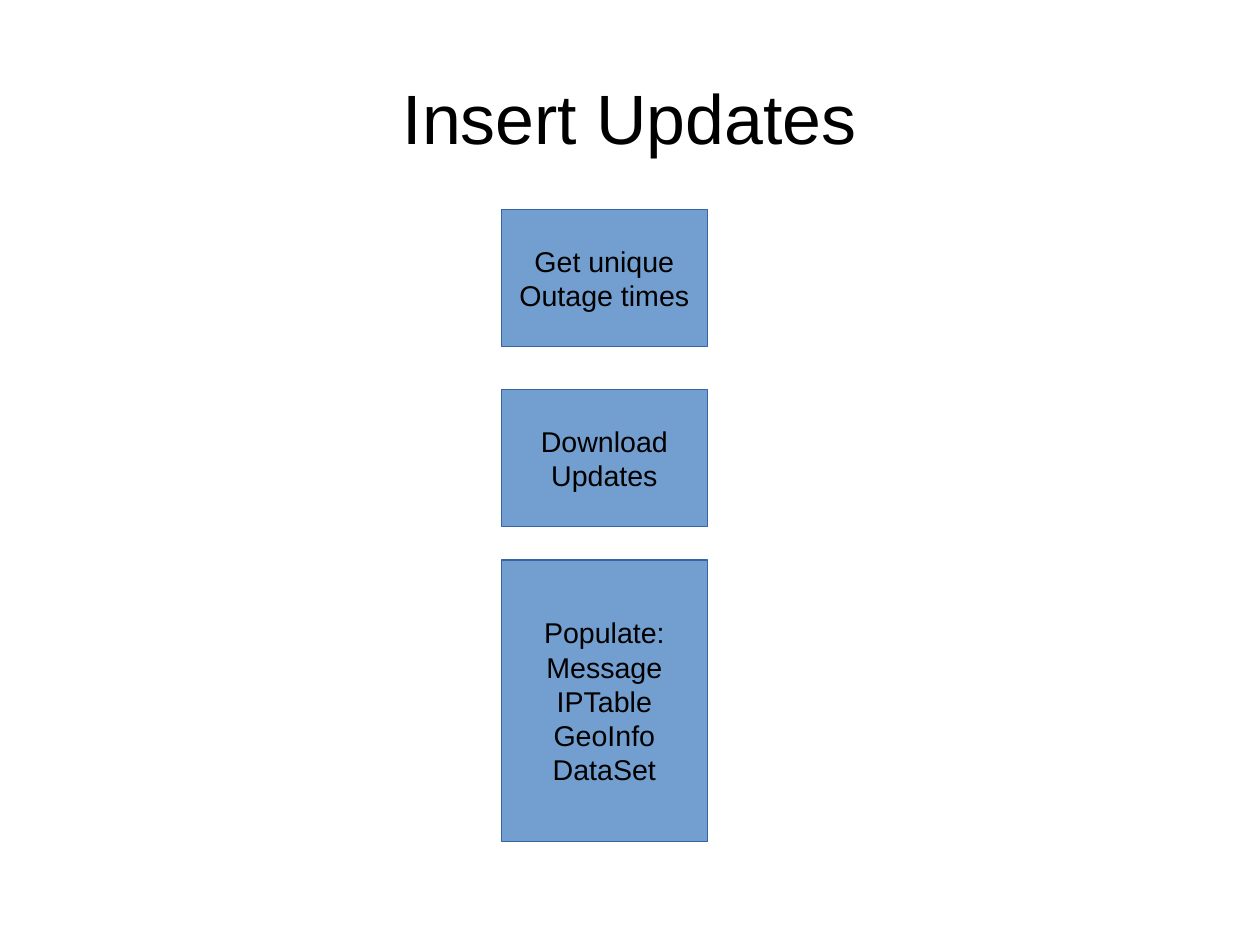
import dataclasses

import pptx
import pptx.dml.color
import pptx.enum.shapes
import pptx.enum.text
import pptx.util


@dataclasses.dataclass(frozen=True)
class Theme:
    font: str = "Arial"
    ink: str = "000000"
    fill: str = "729FCF"
    outline: str = "3465A4"
    title_size: int = 44
    step_size: int = 18


THEME = Theme()
PX = 3175
STEP_LEFT, STEP_WIDTH = 1264, 518


def color(value):
    return pptx.dml.color.RGBColor.from_string(value)


def write_text(frame, text, *, size, margins, wrap):
    frame.word_wrap = wrap
    frame.vertical_anchor = pptx.enum.text.MSO_ANCHOR.MIDDLE
    frame.margin_left = frame.margin_right = margins[0] * PX
    frame.margin_top = frame.margin_bottom = margins[1] * PX
    frame.text = text
    for para in frame.paragraphs:
        para.alignment = pptx.enum.text.PP_ALIGN.CENTER
        for span in para.runs:
            span.font.name = THEME.font
            span.font.size = pptx.util.Pt(size)
            span.font.color.rgb = color(THEME.ink)


deck = pptx.Presentation()
deck.slide_width, deck.slide_height = 3175 * PX, 2381 * PX
page = deck.slides.add_slide(deck.slide_layouts[6])

title = page.shapes.add_textbox(159 * PX, 95 * PX, 2857 * PX, 398 * PX)
write_text(title.text_frame, "Insert Updates",
           size=THEME.title_size, margins=(0, 0), wrap=True)

steps = [
    (527, 346, "Get unique\nOutage times"),
    (1411, 710, "Populate:\nMessage\nIPTable\nGeoInfo\nDataSet"),
    (981, 346, "Download\nUpdates"),
]
for top, height, text in steps:
    box = page.shapes.add_shape(
        pptx.enum.shapes.MSO_SHAPE.FLOWCHART_PROCESS,
        STEP_LEFT * PX, top * PX, STEP_WIDTH * PX, height * PX)
    box.shadow.inherit = False
    box.fill.solid()
    box.fill.fore_color.rgb = color(THEME.fill)
    box.line.color.rgb = color(THEME.outline)
    box.line.width = 0
    write_text(box.text_frame, text,
               size=THEME.step_size, margins=(28, 14), wrap=False)

deck.save("out.pptx")
